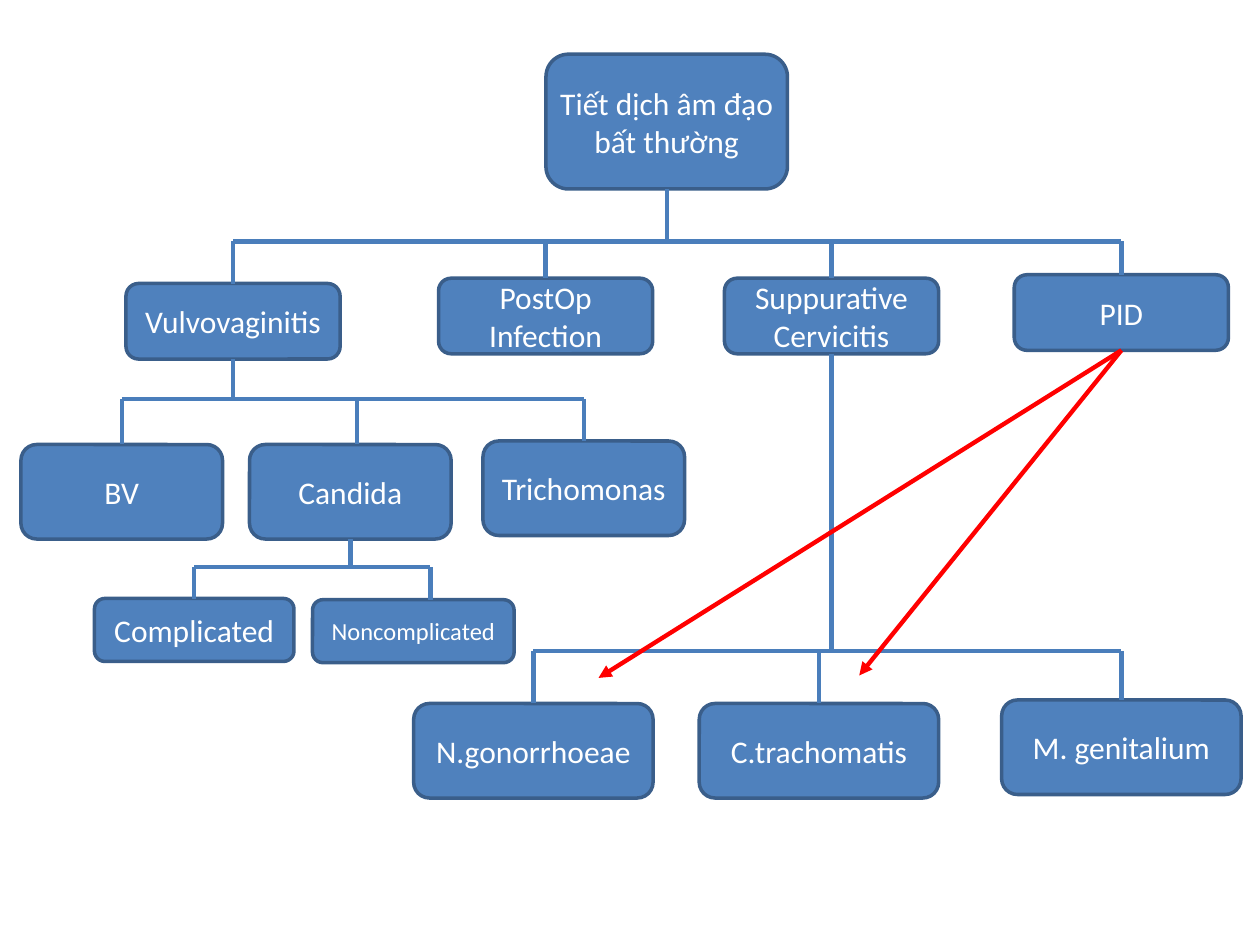
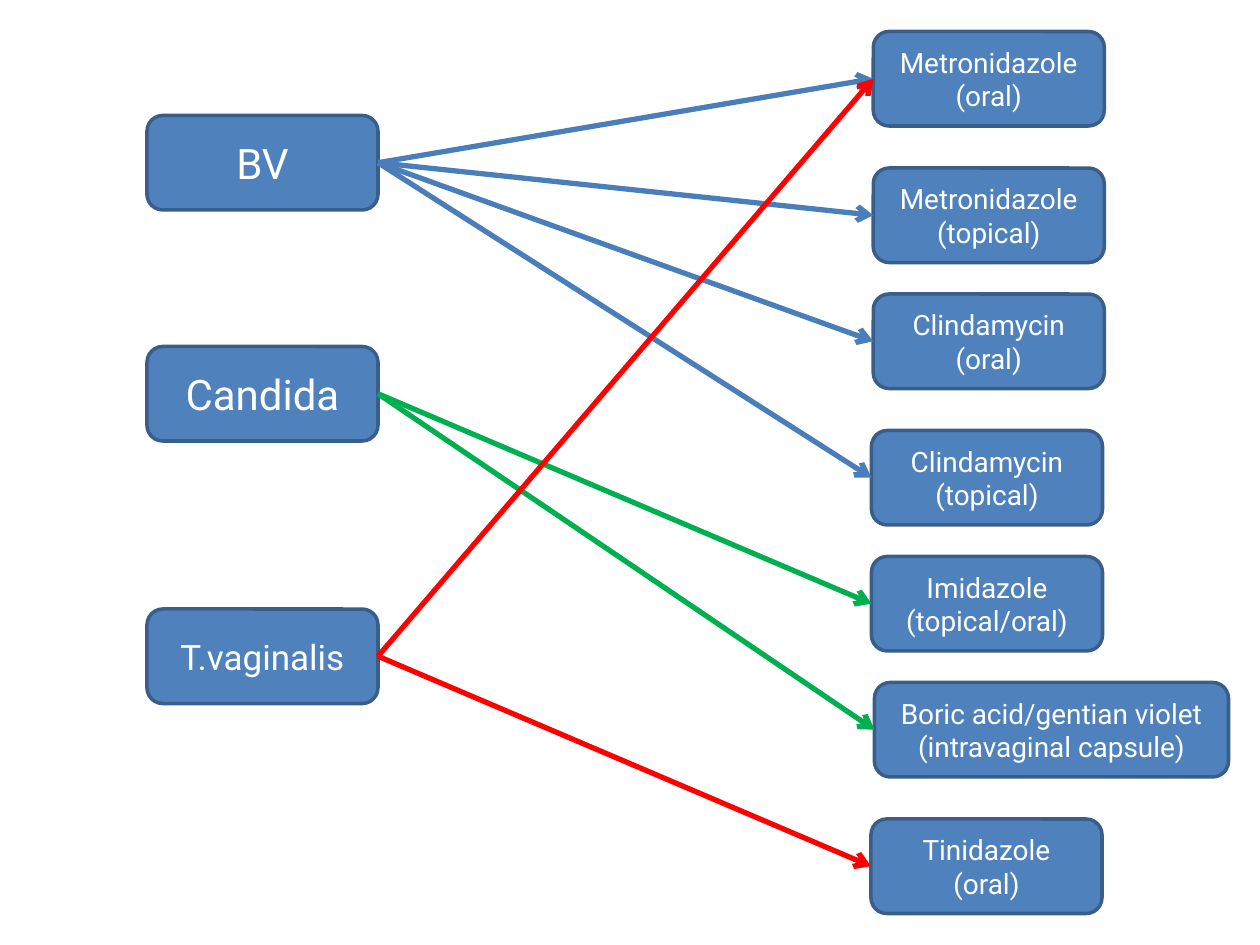
from lxml import etree
from pptx import Presentation
from pptx.dml.color import RGBColor
from pptx.enum.shapes import MSO_CONNECTOR as CONNECTOR, MSO_SHAPE as SHAPE
from pptx.enum.text import MSO_ANCHOR as ANCHOR, PP_ALIGN as ALIGN
from pptx.oxml.ns import qn
from pptx.util import Pt

COLORS = {
    "box": "4F81BD", "outline": "3A5E8A", "text": "FFFFFF",
    "blue": "4A7EBB", "green": "00B050", "red": "FF0000",
}
BLANK_LAYOUT = 6
BOTTOM, LEFT, RIGHT = 2, 1, 3  # connection sites of a rounded rectangle


class Diagram:
    """Holds the shared style and draws on the current slide."""

    def __init__(self, presentation):
        self.presentation = presentation

    def new_slide(self, font, inset, line_width):
        layout = self.presentation.slide_layouts[BLANK_LAYOUT]
        self.slide = self.presentation.slides.add_slide(layout)
        self.font, self.inset, self.line_width = font, inset, line_width

    def color(self, name):
        return RGBColor.from_string(COLORS[name])

    def box(self, text, left, top, width, height, size=18):
        shape = self.slide.shapes.add_shape(
            SHAPE.ROUNDED_RECTANGLE, Pt(left), Pt(top), Pt(width), Pt(height))
        shape.shadow.inherit = False
        shape.fill.solid()
        shape.fill.fore_color.rgb = self.color("box")
        shape.line.color.rgb = self.color("outline")
        shape.line.width = Pt(2)
        frame = shape.text_frame
        frame.word_wrap = True
        frame.vertical_anchor = ANCHOR.MIDDLE
        frame.margin_left = frame.margin_right = Pt(self.inset)
        frame.margin_top = frame.margin_bottom = Pt(3.6)
        for index, line in enumerate(text.split("\n")):
            paragraph = frame.add_paragraph() if index else frame.paragraphs[0]
            paragraph.alignment = ALIGN.CENTER
            run = paragraph.add_run()
            run.text = line
            run.font.name = self.font
            run.font.size = Pt(size)
            run.font.color.rgb = self.color("text")
        return shape

    def line(self, start, end, color="blue", head=None):
        connector = self.slide.shapes.add_connector(
            CONNECTOR.STRAIGHT, *start, *end)
        connector.line.color.rgb = self.color(color)
        connector.line.width = Pt(self.line_width)
        if head:
            outline = connector.line._get_or_add_ln()
            etree.SubElement(outline, qn("a:tailEnd"), type=head)
        etree.SubElement(connector._element.spPr, qn("a:effectLst"))
        return connector

    def branch(self, parent, children, level, drops=None):
        """Joins a parent to its children by a horizontal bar at the given level.

        drops maps a child's index to the x of its line when it is off centre.
        """
        level = Pt(level)
        centers = [child.left + child.width // 2 for child in children]
        for index, x in (drops or {}).items():
            centers[index] = Pt(x)
        stem = parent.left + parent.width // 2
        self.line((stem, parent.top + parent.height), (stem, level))
        self.line((min(centers), level), (max(centers), level))
        for x, child in zip(centers, children):
            self.line((x, level), (x, child.top))

    def link(self, source, target, color):
        arrow = self.line((0, 0), (0, 0), color, "arrow")
        arrow.begin_connect(source, RIGHT)
        arrow.end_connect(target, LEFT)


def draw_causes(diagram):
    diagram.new_slide("Calibri", inset=3.6, line_width=2.5)

    def row(width, height, entries):
        return [diagram.box(text, left, top, width, height)
                for text, left, top in entries]

    discharge = diagram.box("Tiết dịch âm đạo bất thường", 312, 31, 138, 77)
    syndromes = row(122.4, 43.2, [
        ("Vulvovaginitis", 72, 162), ("PostOp Infection", 250.6, 159),
        ("Suppurative\nCervicitis", 414, 159), ("PID", 579.6, 157)])
    vulvovaginitis, _, cervicitis, pid = syndromes
    infections = row(115.2, 54, [
        ("BV", 12, 254), ("Candida", 142.6, 254), ("Trichomonas", 276, 252)])
    pathogens = row(136.8, 54, [
        ("N.gonorrhoeae", 236.4, 402), ("C.trachomatis", 399.6, 402),
        ("M. genitalium", 572.4, 400)])
    candida_types = [
        diagram.box("Complicated", 54, 342, 114, 36),
        diagram.box("Noncomplicated", 178.6, 342.7, 115.2, 36, size=14)]

    diagram.branch(discharge, syndromes, 138)
    diagram.branch(vulvovaginitis, infections, 228, drops={1: 204})
    diagram.branch(cervicitis, pathogens, 372)
    diagram.branch(infections[1], candida_types, 324, drops={1: 246})
    for x, y in [(342, 387.4), (491, 386)]:
        arrow = diagram.line((0, 0), (Pt(x), Pt(y)), "red", "triangle")
        arrow.begin_connect(pid, BOTTOM)


def draw_treatments(diagram):
    diagram.new_slide("Roboto", inset=7.2, line_width=3)
    width, height = 132, 54
    bv, candida, trichomonas = [
        diagram.box(text, 84, top, width, height, size)
        for text, top, size in [
            ("BV", 66, 24), ("Candida", 198, 24), ("T.vaginalis", 348, 20)]]
    drugs = [
        diagram.box(text, left, top, drug_width, height, 16)
        for text, left, top, drug_width in [
            ("Metronidazole\n(oral)", 499, 18, width),
            ("Metronidazole\n(topical)", 499, 96, width),
            ("Clindamycin\n(oral)", 499, 168, width),
            ("Clindamycin\n(topical)", 498, 246, width),
            ("Imidazole\n(topical/oral)", 498, 318, width),
            ("Boric acid/gentian violet\n(intravaginal capsule)",
             499.7, 390, 202.3),
            ("Tinidazole\n(oral)", 497.7, 468, width)]]
    for disease, choices, color in [
            (bv, drugs[:4], "blue"),
            (candida, drugs[4:6], "green"),
            (trichomonas, [drugs[6], drugs[0]], "red")]:
        for drug in choices:
            diagram.link(disease, drug, color)


def main():
    presentation = Presentation()
    presentation.slide_width, presentation.slide_height = Pt(720), Pt(540)
    diagram = Diagram(presentation)
    draw_causes(diagram)
    draw_treatments(diagram)
    presentation.save("out.pptx")


if __name__ == "__main__":
    main()
